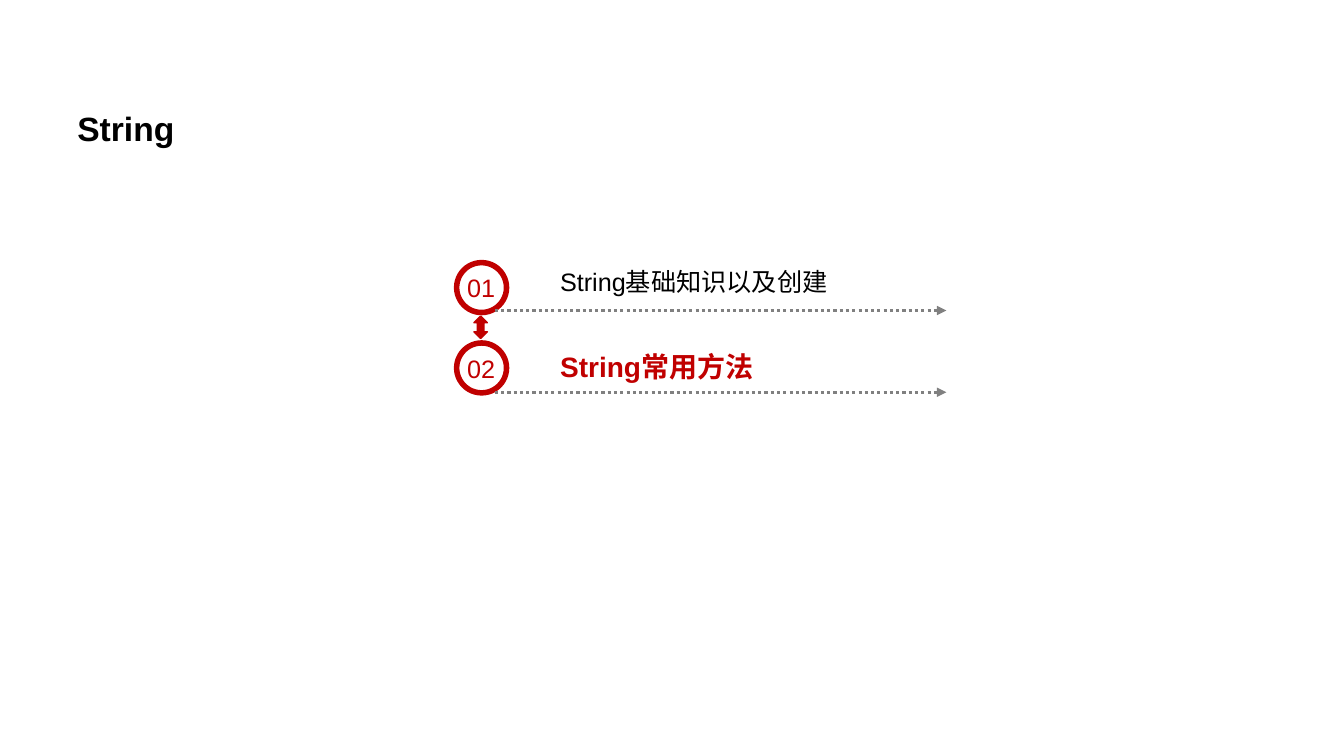
from lxml.etree import SubElement
from pptx import Presentation
from pptx.dml.color import RGBColor
from pptx.enum.shapes import MSO_CONNECTOR, MSO_SHAPE
from pptx.oxml.ns import qn
from pptx.util import Pt

RED, BLACK, GREY = "C00000", "000000", "808080"


def paint(color, code):
    color.rgb = RGBColor.from_string(code)


def write(text, left, top, width, height, size, code, bold=False, wrap=True):
    box = slide.shapes.add_textbox(Pt(left), Pt(top), Pt(width), Pt(height))
    frame = box.text_frame
    frame.word_wrap = wrap
    frame.text = text
    para = frame.paragraphs[0]
    font = para.runs[0].font
    font.name, font.size, font.bold = "Arial", Pt(size), bold
    paint(font.color, code)
    return para


deck = Presentation()
deck.slide_width, deck.slide_height = Pt(960), Pt(540)
slide = deck.slides.add_slide(deck.slide_layouts[6])
shapes = slide.shapes

title = write("String", 48.2, 59, 845, 80, 24, BLACK, True)
title.line_spacing = 1.5

# number, topic, tops of ring, number, topic and line, topic size, colour, bold
rows = [
    ("01", "String基础知识以及创建", 185.6, 191, 186.5, 221.8, 18, BLACK, False),
    ("02", "String常用方法", 243, 249, 246.2, 280.2, 20, RED, True),
]
for num, topic, ring_y, num_y, topic_y, line_y, size, code, bold in rows:
    ring = shapes.add_shape(
        MSO_SHAPE.DONUT, Pt(324.2), Pt(ring_y), Pt(39.6), Pt(39.6))
    ring.adjustments[0] = 0.1
    ring.shadow.inherit = False
    ring.fill.solid()
    paint(ring.fill.fore_color, RED)
    ring.line.fill.background()

    write(num, 326.6, num_y, 34.6, 29, 18, RED, wrap=False)

    line = shapes.add_connector(
        MSO_CONNECTOR.STRAIGHT, Pt(353.5), Pt(line_y), Pt(676), Pt(line_y))
    line.line.width = Pt(2.25)
    paint(line.line.color, GREY)
    edge = line.line._get_or_add_ln()
    SubElement(edge, qn("a:prstDash")).set("val", "sysDot")
    SubElement(edge, qn("a:tailEnd")).set("type", "triangle")
    SubElement(line._element.spPr, qn("a:effectLst"))

    write(topic, 393, topic_y, 285, 30, size, code, bold)

arrow = shapes.add_shape(
    MSO_SHAPE.UP_DOWN_ARROW, Pt(338.5), Pt(225.8), Pt(9.6), Pt(16))
arrow.shadow.inherit = False
arrow.fill.solid()
paint(arrow.fill.fore_color, RED)
paint(arrow.line.color, RED)
arrow.line.width = Pt(1)

deck.save("out.pptx")
